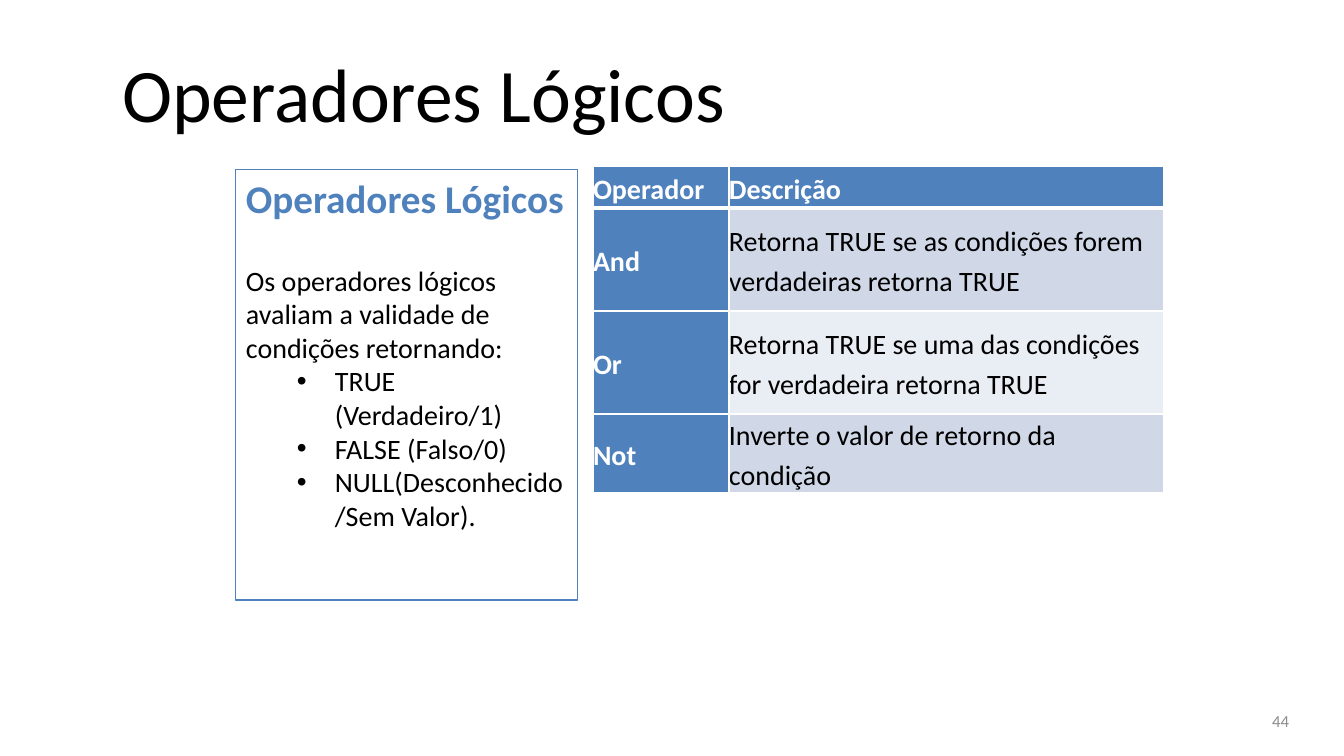
import pptx
import pptx.dml.color
import pptx.enum.shapes
import pptx.enum.text
import pptx.oxml.ns
import pptx.util
import lxml.etree

PX = 12192000 / 1344
BLACK = pptx.dml.color.RGBColor(0x00, 0x00, 0x00)
WHITE = pptx.dml.color.RGBColor(0xFF, 0xFF, 0xFF)
BLUE = pptx.dml.color.RGBColor(0x4F, 0x81, 0xBD)
GREY = pptx.dml.color.RGBColor(0x8C, 0x8C, 0x8C)
BANDS = (pptx.dml.color.RGBColor(0xD0, 0xD8, 0xE8),
         pptx.dml.color.RGBColor(0xE9, 0xED, 0xF4))
LEFT = pptx.enum.text.PP_ALIGN.LEFT
RIGHT = pptx.enum.text.PP_ALIGN.RIGHT
MIDDLE = pptx.enum.text.MSO_ANCHOR.MIDDLE
TOP = pptx.enum.text.MSO_ANCHOR.TOP

RETURN_VALUES = ("TRUE (Verdadeiro/1)", "FALSE (Falso/0)",
                 "NULL(Desconhecido/Sem Valor).")
OPERATORS = (
    ("Operador", "Descrição"),
    ("And", "Retorna TRUE se as condições forem verdadeiras retorna TRUE"),
    ("Or", "Retorna TRUE se uma das condições for verdadeira retorna TRUE"),
    ("Not", "Inverte o valor de retorno da condição"),
)


def px(length):
    """Turn pixels into EMU."""
    return pptx.util.Emu(round(length * PX))


def write(paragraph, text, size=20, color=BLACK, bold=False, align=LEFT,
          line_spacing=None, space_before=0):
    """Write formatted text into a paragraph."""
    paragraph.alignment = align
    paragraph.space_before = pptx.util.Pt(space_before)
    if line_spacing:
        paragraph.line_spacing = line_spacing
    run = paragraph.add_run()
    run.text = text
    run.font.name = "Calibri"
    run.font.size = pptx.util.Pt(size)
    run.font.bold = bold
    run.font.color.rgb = color


def add_bullet(paragraph, margin, hanging):
    """Give a paragraph a bullet and a hanging indent."""
    properties = paragraph._p.get_or_add_pPr()
    properties.set("lvl", "1")
    properties.set("marL", str(px(margin)))
    properties.set("indent", str(px(-hanging)))
    for tag, attribute, value in (("a:buFont", "typeface", "Arial"),
                                  ("a:buChar", "char", "•")):
        lxml.etree.SubElement(properties, pptx.oxml.ns.qn(tag)).set(attribute, value)


def add_borders(cell, top, bottom):
    """Draw white borders around a table cell, widths in points."""
    properties = cell._tc.get_or_add_tcPr()
    for tag, width in (("a:lnL", 1), ("a:lnR", 1), ("a:lnT", top), ("a:lnB", bottom)):
        line = lxml.etree.SubElement(properties, pptx.oxml.ns.qn(tag))
        line.set("w", str(pptx.util.Pt(width)))
        fill = lxml.etree.SubElement(line, pptx.oxml.ns.qn("a:solidFill"))
        color = lxml.etree.SubElement(fill, pptx.oxml.ns.qn("a:srgbClr"))
        color.set("val", str(WHITE))


def build_title(slide, left, top, width, height):
    """Place the slide title."""
    title = slide.shapes.title
    title.left, title.top, title.width, title.height = map(px, (left, top, width, height))
    frame = title.text_frame
    frame.auto_size = pptx.enum.text.MSO_AUTO_SIZE.NONE
    frame.vertical_anchor = MIDDLE
    write(frame.paragraphs[0], "Operadores Lógicos", size=54)


def build_panel(slide, left, top, width, height):
    """Place the outlined panel that explains the operators."""
    panel = slide.shapes.add_shape(pptx.enum.shapes.MSO_SHAPE.RECTANGLE,
                                   *map(px, (left, top, width, height)))
    panel.shadow.inherit = False
    panel.fill.background()
    panel.line.color.rgb = BLUE
    panel.line.width = pptx.util.Pt(0.75)
    frame = panel.text_frame
    frame.word_wrap = True
    frame.vertical_anchor = TOP
    write(frame.paragraphs[0], "Operadores Lógicos", size=28, color=BLUE, bold=True)
    write(frame.add_paragraph(),
          "Os operadores lógicos avaliam a validade de condições retornando:",
          space_before=30)
    for value in RETURN_VALUES:
        paragraph = frame.add_paragraph()
        write(paragraph, value)
        add_bullet(paragraph, margin=89, hanging=38)


def build_table(slide, left, top, column_widths, row_heights):
    """Place the table of operators."""
    box = (left, top, sum(column_widths), sum(row_heights))
    table = slide.shapes.add_table(len(OPERATORS), len(column_widths),
                                   *map(px, box)).table
    for column, width in zip(table.columns, column_widths):
        column.width = px(width)
    for row, height in zip(table.rows, row_heights):
        row.height = px(height)
    for row_index, texts in enumerate(OPERATORS):
        for column_index, text in enumerate(texts):
            heading = row_index == 0 or column_index == 0
            cell = table.cell(row_index, column_index)
            cell.margin_left = cell.margin_right = 0
            cell.margin_top = cell.margin_bottom = 0
            cell.vertical_anchor = MIDDLE
            add_borders(cell, top=3 if row_index == 1 else 1,
                        bottom=3 if row_index == 0 else 1)
            cell.fill.solid()
            cell.fill.fore_color.rgb = BLUE if heading else BANDS[(row_index - 1) % 2]
            write(cell.text_frame.paragraphs[0], text, bold=heading,
                  color=WHITE if heading else BLACK, line_spacing=1.15)


def build_slide_number(slide, left, top, width, height):
    """Place the slide number."""
    frame = slide.shapes.add_textbox(*map(px, (left, top, width, height))).text_frame
    frame.word_wrap = True
    frame.vertical_anchor = MIDDLE
    write(frame.paragraphs[0], "44", size=12, color=GREY, align=RIGHT)


def main():
    """Build the presentation and save it."""
    presentation = pptx.Presentation()
    presentation.slide_width = px(1344)
    presentation.slide_height = px(756)
    slide = presentation.slides.add_slide(presentation.slide_layouts[5])
    build_title(slide, 112, 29, 1187, 126)
    build_panel(slide, 236, 169, 342, 431)
    build_table(slide, 593, 166, (136, 435), (42, 103, 103, 50))
    build_slide_number(slide, 986, 701, 313, 40)
    presentation.save("out.pptx")


if __name__ == "__main__":
    main()
